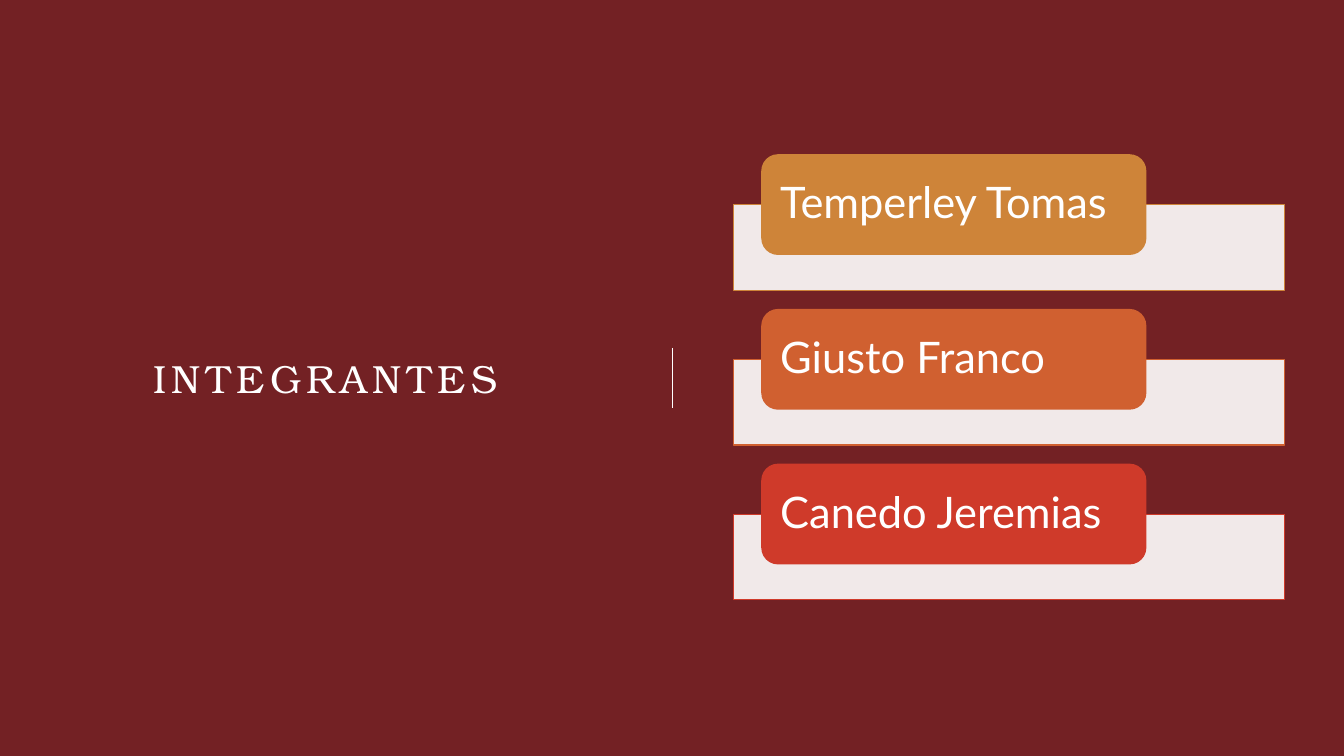
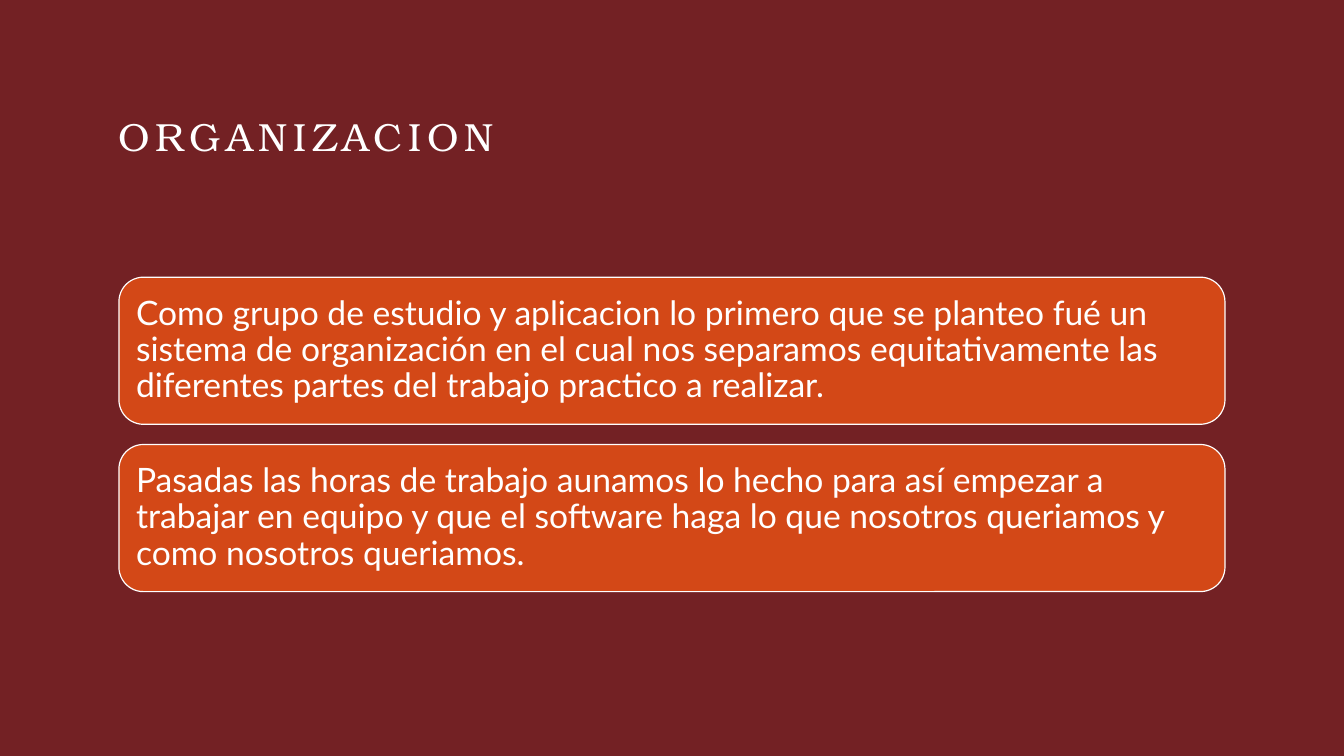
from lxml.etree import SubElement
from pptx import Presentation
from pptx.dml.color import RGBColor
from pptx.enum.shapes import MSO_CONNECTOR, MSO_SHAPE
from pptx.enum.text import MSO_ANCHOR, PP_ALIGN
from pptx.oxml.ns import qn
from pptx.util import Inches, Pt

# Shared style
WINE = RGBColor(0x73, 0x21, 0x24)
WHITE = RGBColor(0xFF, 0xFF, 0xFF)
ORANGE = RGBColor(0xD3, 0x48, 0x17)
OCHRE = RGBColor(0xCE, 0x84, 0x39)
RUST = RGBColor(0xD0, 0x60, 0x30)
RED = RGBColor(0xCF, 0x3A, 0x2A)
TITLE_FONT, BODY_FONT = "TeX Gyre Bonum", "Lato"
MARGIN, CONTENT_WIDTH = 1.18, 10.97

prs = Presentation()
prs.slide_width, prs.slide_height = Inches(13.33), Inches(7.5)


def titled_slide(title, top, width, height, align, anchor):
    slide = prs.slides.add_slide(prs.slide_layouts[6])
    slide.background.fill.solid()
    slide.background.fill.fore_color.rgb = WINE
    heading = slide.shapes.add_textbox(
        Inches(MARGIN), Inches(top), Inches(width), Inches(height))
    write(heading, title, TITLE_FONT, 28, 0, 0, anchor)
    paragraph = heading.text_frame.paragraphs[0]
    paragraph.alignment = align
    paragraph.runs[0].font._element.set("spc", "400")
    return slide


def write(holder, text, font_name, size, inset_x, inset_y, anchor):
    frame = holder.text_frame
    frame.text = text
    frame.word_wrap = True
    frame.vertical_anchor = anchor
    frame.margin_left = frame.margin_right = Inches(inset_x)
    frame.margin_top = frame.margin_bottom = Inches(inset_y)
    paragraph = frame.paragraphs[0]
    paragraph.alignment = PP_ALIGN.LEFT
    if font_name == BODY_FONT:
        paragraph.line_spacing = 0.9
    font = paragraph.runs[0].font
    font.name, font.size, font.color.rgb = font_name, Pt(size), WHITE


# Slide 1: team members
members_slide = titled_slide("INTEGRANTES ", 1.18, 4.27, 5.13,
                             PP_ALIGN.CENTER, MSO_ANCHOR.MIDDLE)
divider = members_slide.shapes.add_connector(
    MSO_CONNECTOR.STRAIGHT, Inches(6.67), Inches(3.45), Inches(6.67), Inches(4.05))
divider.line.color.rgb, divider.line.width = WHITE, Pt(1)
SubElement(divider._element.spPr, qn("a:effectLst"))

members = [("Temperley Tomas", OCHRE), ("Giusto Franco", RUST), ("Canedo Jeremias", RED)]
MEMBER_TOP, MEMBER_PITCH = 1.53, 1.535
for row, (member, color) in enumerate(members):
    top = MEMBER_TOP + row * MEMBER_PITCH
    band = members_slide.shapes.add_shape(
        MSO_SHAPE.RECTANGLE, Inches(7.28), Inches(top + 0.5), Inches(5.46), Inches(0.85))
    band.shadow.inherit = False
    band.fill.solid()
    band.fill.fore_color.rgb = WHITE
    band_color = band._element.spPr.find(qn("a:solidFill"))[0]
    SubElement(band_color, qn("a:alpha"), val="90000")
    band.line.color.rgb, band.line.width = color, Pt(0.75)

    name_tag = members_slide.shapes.add_shape(
        MSO_SHAPE.ROUNDED_RECTANGLE, Inches(7.55), Inches(top), Inches(3.82), Inches(1))
    name_tag.shadow.inherit = False
    name_tag.fill.solid()
    name_tag.fill.fore_color.rgb = color
    name_tag.line.fill.background()
    write(name_tag, member, BODY_FONT, 31, 0.14, 0, MSO_ANCHOR.MIDDLE)

# Slide 2: how the work was organised
organization_slide = titled_slide("ORGANIZACION", 1.11, CONTENT_WIDTH, 0.72,
                                  PP_ALIGN.LEFT, MSO_ANCHOR.TOP)
stages = [
    "Como grupo de estudio y aplicacion lo primero que se planteo fué un sistema de "
    "organización en el cual nos separamos equitativamente las diferentes partes del "
    "trabajo practico a realizar.",
    "Pasadas las horas de trabajo aunamos lo hecho para así empezar a trabajar en equipo "
    "y que el software haga lo que nosotros queriamos y como nosotros queriamos.",
]
STAGE_TOP, STAGE_HEIGHT, STAGE_GAP = 2.75, 1.46, 0.2
for row, stage in enumerate(stages):
    panel = organization_slide.shapes.add_shape(
        MSO_SHAPE.ROUNDED_RECTANGLE, Inches(MARGIN),
        Inches(STAGE_TOP + row * (STAGE_HEIGHT + STAGE_GAP)),
        Inches(CONTENT_WIDTH), Inches(STAGE_HEIGHT))
    panel.shadow.inherit = False
    panel.fill.solid()
    panel.fill.fore_color.rgb = ORANGE
    panel.line.color.rgb, panel.line.width = WHITE, Pt(0.85)
    write(panel, stage, BODY_FONT, 24, 0.1, 0.1, MSO_ANCHOR.MIDDLE)

prs.save("out.pptx")
